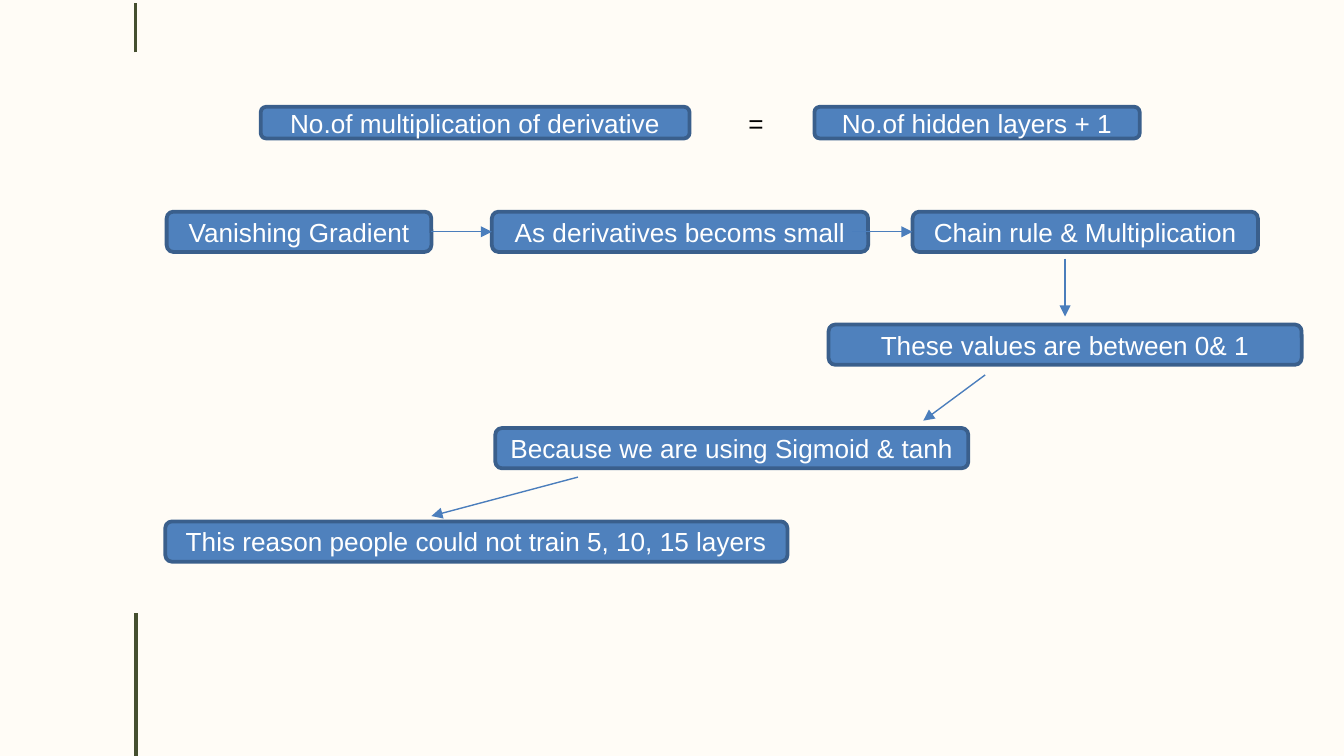
"""Build a slide that traces the vanishing gradient problem step by step."""
from lxml.etree import SubElement
from pptx import Presentation
from pptx.dml.color import RGBColor
from pptx.enum.shapes import MSO_CONNECTOR as Link, MSO_SHAPE as Form
from pptx.enum.text import MSO_ANCHOR as Anchor, MSO_AUTO_SIZE as Fit, PP_ALIGN as Align
from pptx.oxml.ns import qn
from pptx.util import Inches, Pt


def color(code):
    return RGBColor.from_string(code)


def add_line(start, end, code, weight, arrow=False):
    ends = [round(n * UNIT) for n in (*start, *end)]
    line = slide.shapes.add_connector(Link.STRAIGHT, *ends)
    line.line.color.rgb = color(code)
    line.line.width = Pt(weight)
    if arrow:
        SubElement(line.element.spPr.get_or_add_ln(), qn("a:tailEnd"), type="triangle")
    SubElement(line.element.spPr, qn("a:effectLst"))
    return line


deck = Presentation()
deck.slide_width = Inches(10)
deck.slide_height = deck.slide_width * 9 // 16
UNIT = deck.slide_width / 100
slide = deck.slides.add_slide(deck.slide_layouts[6])
slide.background.fill.solid()
slide.background.fill.fore_color.rgb = color("FFFCF6")

for top, bottom, weight in ((0.2, 3.9, 1.5), (45.6, 56.25, 2)):
    add_line((10.1, bottom), (10.1, top), "454F2F", weight)

FORMULA, CHAIN = (7.95, 2.35), (15.75, 3)
statements = (
    ("No.of multiplication of derivative", 19.4, 31.9, FORMULA),
    ("No.of hidden layers + 1", 60.6, 24.2, FORMULA),
    ("Vanishing Gradient", 12.4, 19.7, CHAIN),
    ("As derivatives becoms small", 36.6, 28, CHAIN),
    ("Chain rule & Multiplication", 67.9, 25.7, CHAIN),
    ("These values are between 0& 1", 61.65, 35.2, (24.15, 3)),
    ("Because we are using Sigmoid & tanh", 36.85, 35.2, (31.85, 3)),
    ("This reason people could not train 5, 10, 15 layers", 12.3, 46.3, (38.8, 3)),
)
steps = []
for wording, left, width, (top, height) in statements:
    step = slide.shapes.add_shape(
        Form.ROUNDED_RECTANGLE, *[round(n * UNIT) for n in (left, top, width, height)])
    step.shadow.inherit = False
    step.fill.solid()
    step.fill.fore_color.rgb = color("4F81BD")
    step.line.color.rgb = color("3A5F8C")
    step.line.width = Pt(2)
    frame = step.text_frame
    frame.word_wrap = True
    frame.margin_left = frame.margin_right = 0
    frame.vertical_anchor = Anchor.MIDDLE
    frame.paragraphs[0].alignment = Align.CENTER
    run = frame.paragraphs[0].add_run()
    run.text = wording
    run.font.name, run.font.size = "Arial", Pt(14)
    run.font.color.rgb = color("FFFFFF")
    steps.append(step)

gradient, derivatives, chain_rule = steps[2:5]
arrows = [
    add_line(start, end, "4B7EBC", 0.75, arrow=True)
    for start, end in (
        ((32.1, 17.25), (36.6, 17.25)),
        ((63.4, 17.25), (67.9, 17.25)),
        ((79.25, 19.25), (79.25, 23.55)),
        ((73.3, 27.9), (68.7, 31.3)),
        ((43, 35.5), (32.1, 38.4)),
    )
]
arrows[0].begin_connect(gradient, 3)
arrows[0].end_connect(derivatives, 1)
arrows[1].end_connect(chain_rule, 1)

equals = slide.shapes.add_textbox(*[round(n * UNIT) for n in (54.7, 7.5, 3.2, 3.4)])
equals.text_frame.word_wrap = False
equals.text_frame.auto_size = Fit.SHAPE_TO_FIT_TEXT
run = equals.text_frame.paragraphs[0].add_run()
run.text = "="
run.font.name, run.font.size = "Arial", Pt(14)
run.font.color.rgb = color("000000")

deck.save("out.pptx")
